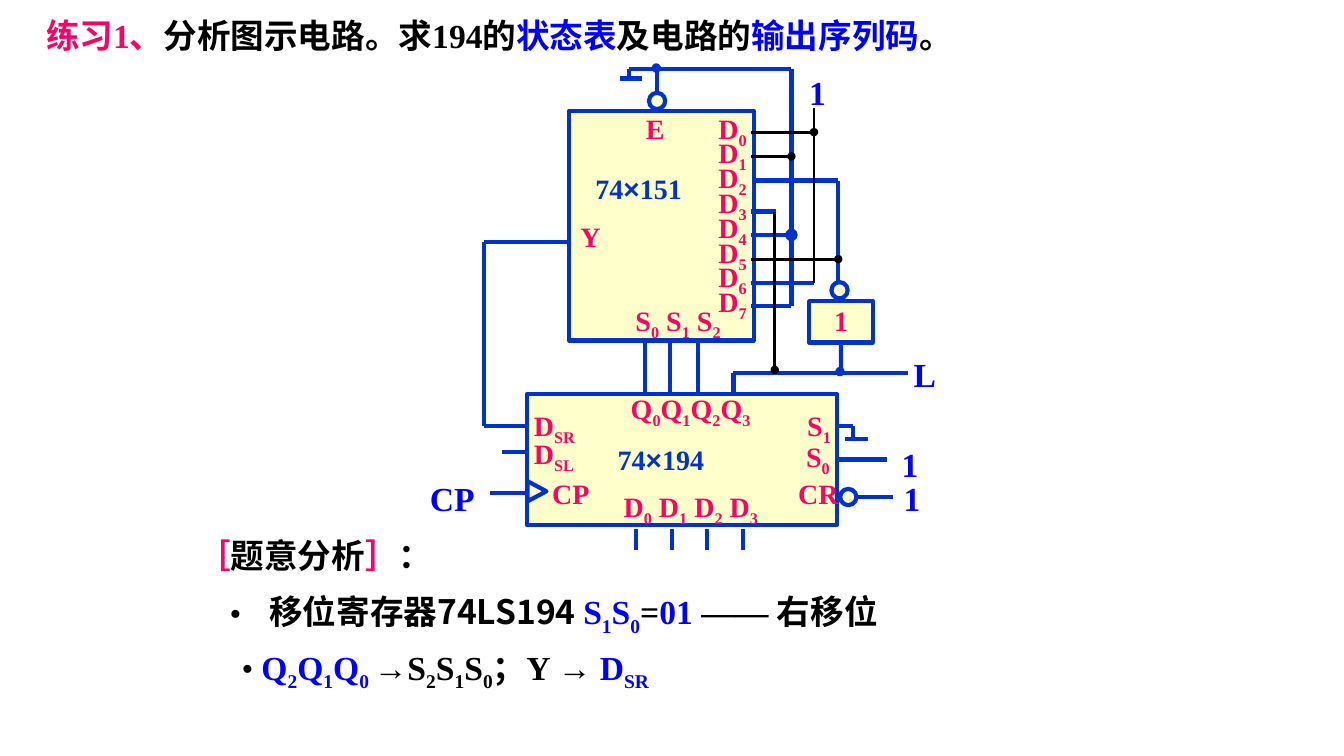
from dataclasses import dataclass
from itertools import pairwise

from lxml.etree import SubElement
from pptx import Presentation
from pptx.dml.color import RGBColor as RGB
from pptx.enum.shapes import MSO_CONNECTOR, MSO_SHAPE as SHAPE
from pptx.enum.text import MSO_ANCHOR, MSO_AUTO_SIZE, PP_ALIGN
from pptx.oxml.ns import qn
from pptx.util import Cm, Pt


@dataclass(frozen=True)
class Theme:
    pink: RGB = RGB(0xFF, 0x00, 0x66)
    blue: RGB = RGB(0x00, 0x00, 0xFF)
    wire: RGB = RGB(0x00, 0x33, 0xCC)
    black: RGB = RGB(0x00, 0x00, 0x00)
    cream: RGB = RGB(0xFF, 0xFF, 0xCC)
    serif: str = "Times New Roman"
    sans: str = "Arial"
    chinese: str = "Noto Sans CJK SC"
    body: int = 24
    pin: int = 20


T = Theme()
prs = Presentation()
prs.slide_width, prs.slide_height = Cm(33.88), Cm(19.05)
slide = prs.slides.add_slide(prs.slide_layouts[5])


def write(pieces, x, y, w, h, *, box=None, size=T.pin, inset=True, spacing=None, hang=None):
    """Write (text, colour, font) pieces; text between ~ marks is a subscript."""
    box = box or slide.shapes.add_textbox(0, 0, 0, 0)
    box.left, box.top, box.width, box.height = Cm(x), Cm(y), Cm(w), Cm(h)
    frame = box.text_frame
    frame.word_wrap, frame.auto_size = True, MSO_AUTO_SIZE.NONE
    frame.vertical_anchor = MSO_ANCHOR.TOP
    frame.margin_left = frame.margin_right = Cm(0.25 if inset else 0)
    frame.margin_top = frame.margin_bottom = Cm(0.13 if inset else 0)
    paragraph = frame.paragraphs[0]
    if hang:
        props = paragraph._p.get_or_add_pPr()
        props.set("marL", str(Cm(hang)))
        props.set("indent", str(-Cm(hang)))
        SubElement(SubElement(props, qn("a:buClr")), qn("a:srgbClr"), val=str(T.black))
        SubElement(props, qn("a:buFont"), typeface=T.serif)
        SubElement(props, qn("a:buChar"), char="•")
    paragraph.alignment = PP_ALIGN.LEFT
    if spacing:
        paragraph.line_spacing = Pt(spacing)
    for text, colour, *face in pieces:
        for i, part in enumerate(text.split("~")):
            if not part:
                continue
            run = paragraph.add_run()
            run.text = part
            run.font.size, run.font.bold = Pt(size), True
            run.font.color.rgb = colour
            run.font.name = face[0] if face else T.serif
            props = run._r.get_or_add_rPr()
            SubElement(props, qn("a:ea"), typeface=T.chinese)
            if i % 2:
                props.set("baseline", "-25000")


def add_wires(points, colour=T.wire, width=3, dot=False):
    """Join the points with straight wires and return the last one."""
    for start, end in pairwise(points):
        wire = slide.shapes.add_connector(
            MSO_CONNECTOR.STRAIGHT, *(Cm(v) for v in (*start, *end)))
        wire.line.color.rgb, wire.line.width = colour, Pt(width)
        SubElement(wire._element.spPr, qn("a:effectLst"))
    if dot:
        SubElement(wire.line._get_or_add_ln(), qn("a:tailEnd"), type="oval")
    return wire


# Question and analysis
write([("练习1、", T.pink), ("分析图示电路。求194的", T.black), ("状态表", T.blue),
       ("及电路的", T.black), ("输出序列码", T.blue), ("。", T.black)],
      0.91, 0.25, 23.5, 2.4, box=slide.shapes.title, size=T.body, spacing=28.8)
write([("［", T.pink, T.chinese), ("题意分析", T.black, T.chinese),
       ("］", T.pink, T.chinese), ("：", T.black, T.chinese)],
      4.72, 13.34, 7.57, 1.27, size=T.body, spacing=28.8)
write([("移位寄存器74LS194 ", T.black, T.chinese), ("S~1~S~0~", T.blue), ("=", T.black),
       ("01 ", T.blue), ("—— ", T.black), ("右移位", T.black, T.chinese)],
      5.54, 14.73, 23.5, 1.45, size=T.body, spacing=33.8, hang=1)
write([("Q~2~Q~1~Q~0 ~", T.blue), ("→S~2~S~1~S~0~", T.black), ("；", T.black, T.chinese),
       ("Y → ", T.black), ("D~SR~", T.blue)],
      5.84, 16.13, 11.5, 1.45, size=T.body, spacing=33.8, hang=0.5)

# Chips, inverter, bubbles, clock mark and junctions
parts = []
for kind, x, y, w, h, fill in [
    (SHAPE.RECTANGLE, 14.35, 2.79, 4.65, 5.79, T.cream),
    (SHAPE.RECTANGLE, 13.28, 9.93, 7.82, 3.3, T.cream),
    (SHAPE.RECTANGLE, 20.4, 7.59, 1.6, 1.04, T.cream),
    (SHAPE.OVAL, 16.36, 2.34, 0.41, 0.41, T.cream),
    (SHAPE.OVAL, 20.96, 7.11, 0.41, 0.41, T.cream),
    (SHAPE.OVAL, 21.18, 12.32, 0.41, 0.41, T.cream),
    (SHAPE.FLOWCHART_EXTRACT, 13.28, 12.14, 0.51, 0.48, T.cream),
    (SHAPE.OVAL, 21.11, 9.3, 0.13, 0.13, T.black),
    (SHAPE.OVAL, 16.48, 1.65, 0.13, 0.13, T.black),
]:
    part = slide.shapes.add_shape(kind, Cm(x), Cm(y), Cm(w), Cm(h))
    part.shadow.inherit = False
    part.fill.solid()
    part.fill.fore_color.rgb = fill
    part.line.color.rgb, part.line.width = T.wire, Pt(3)
    if kind == SHAPE.FLOWCHART_EXTRACT:
        part.rotation = 90
    parts.append(part)
register, inverter = parts[1:3]

# Blue wiring
for route in [
    [(21.13, 10.74), (21.51, 10.74), (21.51, 11.02)],
    [(21.29, 11.07), (21.89, 11.07)],
    [(21.56, 12.52), (22.5, 12.52)],
    [(18.49, 9.93), (18.49, 9.4), (22.89, 9.4)],
    [(13.28, 10.74), (12.2, 10.74), (12.2, 6.1), (14.35, 6.1)],
    [(12.65, 11.38), (13.28, 11.38)],
    [(12.34, 12.42), (13.28, 12.42)],
    [(19, 4.55), (21.13, 4.55), (21.13, 7.11)],
    [(18.92, 5.33), (19.56, 5.33)],
    [(18.92, 7.14), (20.52, 7.14)],
    [(18.92, 7.72), (19.95, 7.72), (19.95, 1.73), (15.85, 1.73), (15.85, 1.98)],
    [(15.62, 1.98), (16.18, 1.98)],
    [(16.57, 2.34), (16.57, 1.73)],
    *([(x, 8.59), (x, 9.93)] for x in (16.26, 16.89, 17.6)),
    *([(16.03 + 0.9 * i, 13.32), (16.03 + 0.9 * i, 13.85)] for i in range(4)),
]:
    add_wires(route)
add_wires([(18.92, 5.92), (19.95, 5.92)], dot=True)
add_wires([(21.2, 9.4), (21.2, 8.63)]).end_connect(inverter, 2)
add_wires([(21.1, 11.58), (22.35, 11.58)]).begin_connect(register, 3)

# Black wiring
for route, dot in [
    ([(18.92, 3.94), (19.95, 3.94)], True),
    ([(20.52, 2.72), (20.52, 7.14)], False),
    ([(18.92, 3.33), (20.52, 3.33)], True),
    ([(18.92, 6.53), (21.13, 6.53)], True),
    ([(19.53, 5.33), (19.53, 9.32)], True),
]:
    add_wires(route, T.black, 2, dot)

# Chip names and pin labels
for number, place, inset in [("151", (15.01, 4.32, 3.18, 1.07), False),
                             ("194", (15.32, 11.02, 3.38, 1.35), True)]:
    write([("74", T.wire), ("×", T.wire, T.sans), (number, T.wire)], *place, inset=inset)
for pin, x, y, w, h, inset in [
    ("E", 16.03, 2.69, 1.32, 1.12, True),
    ("Y", 14.38, 5.41, 1.27, 1.27, True),
    ("S~0~ S~1~ S~2~", 15.77, 7.52, 2.97, 1.27, True),
    ("Q~0~Q~1~Q~2~Q~3~", 15.9, 9.86, 3.3, 0.99, False),
    ("D~SR~", 13.46, 10.29, 1.47, 0.84, False),
    ("D~SL~", 13.46, 11, 1.47, 1.07, False),
    ("CP", 13.92, 12.01, 1.35, 1.04, False),
    ("S~1~", 20.35, 10.29, 0.8, 0.81, False),
    ("S~0~", 20.32, 11.07, 0.8, 0.81, False),
    ("CR", 20.12, 12.01, 1.1, 0.97, False),
    ("D~0~ D~1~ D~2~ D~3~", 15.72, 12.34, 3.84, 0.84, False),
    ("1", 20.78, 7.52, 1.07, 1.12, True),
    *((f"D~{i}~", 17.86, 2.67 + 0.625 * i, 1.4, 1.22, True) for i in range(8)),
]:
    write([(pin, T.pink)], x, y, w, h, inset=inset)

# Outer signals
for signal, x, y, w, inset in [
    ("CP", 10.59, 11.91, 2.11, True),
    ("L", 22.78, 8.79, 1.27, True),
    ("1", 20.4, 1.8, 0.5, False),
    ("1", 22.73, 11.18, 0.5, False),
    ("1", 22.78, 12.04, 0.5, False),
]:
    write([(signal, T.blue)], x, y, w, 1.2, size=T.body, inset=inset)

prs.save("out.pptx")
